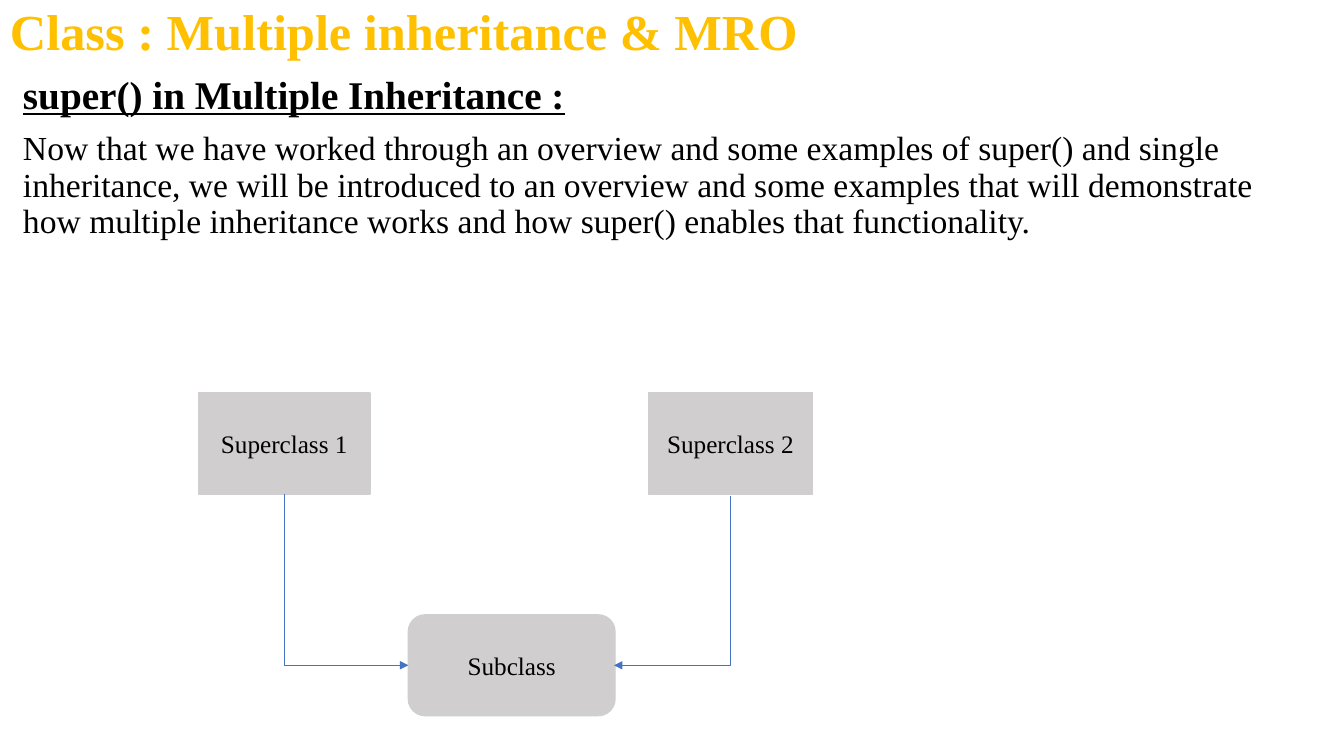
from dataclasses import dataclass

from lxml import etree
from pptx import Presentation
from pptx import util as u
from pptx.dml.color import RGBColor
from pptx.enum import shapes, text
from pptx.oxml import ns


@dataclass(frozen=True)
class Theme:
    font: str = "Times New Roman"
    gold: str = "FFC000"
    ink: str = "000000"
    gray: str = "D0CECE"
    blue: str = "4472C4"
    title: int = 36
    head: int = 28
    body: int = 24
    label: int = 18


THEME = Theme()


def style(para, size, color, bold=False, under=False):
    for run in para.runs:
        font = run.font
        font.name = THEME.font
        font.size = u.Pt(size)
        font.color.rgb = RGBColor.from_string(color)
        font.bold = bold
        font.underline = under


def add_text(slide, box, lines, anchor, before=0):
    frame = slide.shapes.add_textbox(*map(u.Inches, box)).text_frame
    frame.word_wrap = True
    frame.vertical_anchor = anchor
    frame.text = "\n".join(line[0] for line in lines)
    for para, line in zip(frame.paragraphs, lines):
        para.line_spacing = 0.9
        para.space_before = u.Pt(before)
        style(para, *line[1:])


def add_node(slide, kind, box, label):
    node = slide.shapes.add_shape(kind, *map(u.Inches, box))
    node.shadow.inherit = False
    gray = RGBColor.from_string(THEME.gray)
    node.fill.solid()
    node.fill.fore_color.rgb = gray
    node.line.color.rgb = gray
    node.line.width = u.Pt(1)
    frame = node.text_frame
    frame.text = label
    frame.vertical_anchor = text.MSO_ANCHOR.MIDDLE
    para = frame.paragraphs[0]
    para.alignment = text.PP_ALIGN.CENTER
    style(para, THEME.label, THEME.ink)


def add_elbow(slide, start, end):
    (x1, y1), (x2, y2) = start, end
    mid_x, mid_y = (x1 + x2) / 2, (y1 + y2) / 2
    half_w, half_h = (y2 - y1) / 2, abs(x2 - x1) / 2
    right = x2 > x1
    if right:
        half_w = -half_w
    ends = (mid_x - half_w, mid_y - half_h, mid_x + half_w, mid_y + half_h)
    link = slide.shapes.add_connector(
        shapes.MSO_CONNECTOR.ELBOW, *map(u.Inches, ends)
    )
    link.line.color.rgb = RGBColor.from_string(THEME.blue)
    link.line.width = u.Pt(0.5)
    props = link._element.spPr
    props.find(ns.qn("a:prstGeom")).set("prst", "bentConnector2")
    turn = 270 if right else 90
    props.find(ns.qn("a:xfrm")).set("rot", str(turn * 60000))
    tail = etree.SubElement(props.find(ns.qn("a:ln")), ns.qn("a:tailEnd"))
    tail.set("type", "triangle")
    etree.SubElement(props, ns.qn("a:effectLst"))


def main():
    deck = Presentation()
    deck.slide_width = u.Inches(13.33)
    deck.slide_height = u.Inches(7.5)
    slide = deck.slides.add_slide(deck.slide_layouts[6])

    title = ("Class : Multiple inheritance & MRO", THEME.title, THEME.gold, True)
    add_text(slide, (0, 0, 11.89, 0.68), [title], text.MSO_ANCHOR.MIDDLE)
    lines = [
        ("super() in Multiple Inheritance :", THEME.head, THEME.ink, True, True),
        (
            "Now that we have worked through an overview and some examples of "
            "super() and single inheritance, we will be introduced to an overview "
            "and some examples that will demonstrate how multiple inheritance "
            "works and how super() enables that functionality.",
            THEME.body,
            THEME.ink,
        ),
    ]
    add_text(slide, (0.13, 0.7, 13, 6.4), lines, text.MSO_ANCHOR.TOP, 10)

    rect = shapes.MSO_SHAPE.RECTANGLE
    add_node(slide, rect, (1.97, 3.9, 1.7, 1), "Superclass 1")
    add_node(slide, rect, (6.43, 3.9, 1.63, 1), "Superclass 2")
    rounded = shapes.MSO_SHAPE.ROUNDED_RECTANGLE
    add_node(slide, rounded, (4.05, 6.1, 2.05, 1), "Subclass")

    add_elbow(slide, (7.24, 4.92), (6.09, 6.6))
    add_elbow(slide, (2.82, 4.9), (4.05, 6.6))
    deck.save("out.pptx")


if __name__ == "__main__":
    main()
